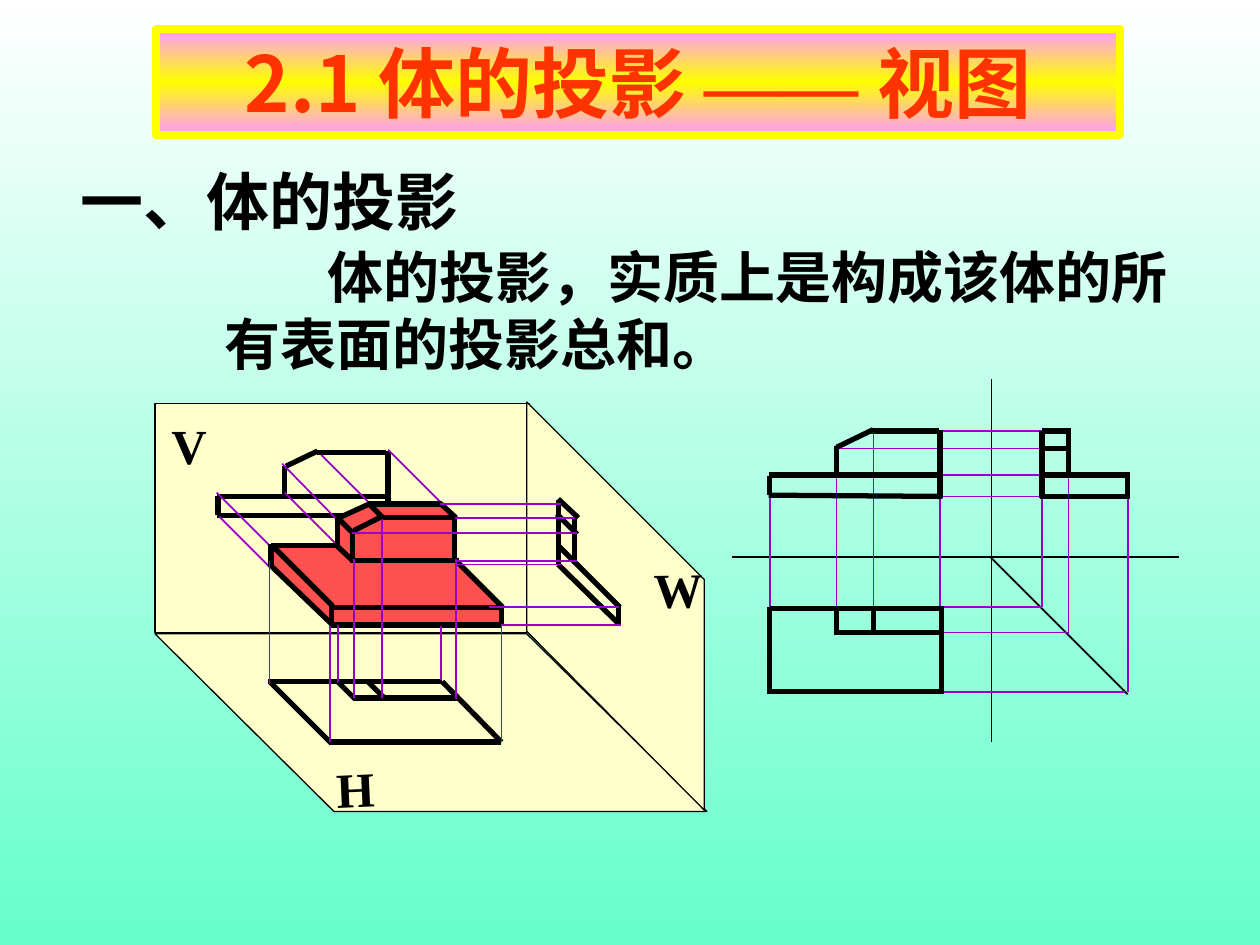
from copy import deepcopy
from dataclasses import dataclass
from typing import NamedTuple

from lxml import etree
from pptx import Presentation
from pptx import util as u
from pptx.dml.color import RGBColor
from pptx.enum import shapes, text
from pptx.oxml.ns import qn

COLS, ROWS = 1000, 750
WIDE, HIGH = u.Inches(10), u.Inches(7.5)
CELL = WIDE // COLS
HUES = {"ink": "000000", "ray": "9900CC", "plane": "FFFFCC", "solid": "FF5050",
        "title": "FF3300", "gold": "FFFF00", "pink": "FF99FF",
        "white": "FFFFFF", "mint": "66FFCC"}
HAN, LATIN = "Noto Sans CJK SC", "Times New Roman"


class Seg(NamedTuple):
    x: int
    y: int
    x2: int
    y2: int


class Run(NamedTuple):
    words: str
    size: int
    face: str = LATIN
    han: str = HAN
    hue: str = "ink"


@dataclass
class Part:
    hue: str
    width: float
    segs: list[Seg]


@dataclass
class Face:
    fill: str
    line: str
    width: float
    dots: list[tuple[int, int]]


@dataclass
class Label:
    box: tuple[int, int, int, int]
    run: Run
    turn: float = 0
    wrap: bool = False
    align: text.PP_ALIGN = text.PP_ALIGN.CENTER
    anchor: text.MSO_ANCHOR = text.MSO_ANCHOR.MIDDLE
    indent: int = 0


def row(y: int, x: int, x2: int) -> Seg:
    return Seg(x, y, x2, y)


def col(x: int, y: int, y2: int) -> Seg:
    return Seg(x, y, x, y2)


def tint(name: str) -> RGBColor:
    return RGBColor.from_string(HUES[name])


def blend(fill, owner, names: list[str]) -> None:
    fill.gradient()
    fill.gradient_angle = 270
    stops = next(owner.iter(qn("a:gsLst")))
    while len(stops) < len(names):
        stops.append(deepcopy(stops[0]))
    for i, (stop, name) in enumerate(zip(fill.gradient_stops, names)):
        stop.position = i / (len(names) - 1)
        stop.color.rgb = tint(name)


def write(para, run: Run) -> None:
    part = para.add_run()
    part.text = run.words
    font = part.font
    font.size, font.bold, font.name = u.Pt(run.size), True, run.face
    font.color.rgb = tint(run.hue)
    etree.SubElement(part._r.rPr, qn("a:ea")).set("typeface", run.han)


def draw(slide, part: Part) -> None:
    for seg in part.segs:
        line = slide.shapes.add_connector(
            shapes.MSO_CONNECTOR.STRAIGHT, *(n * CELL for n in seg))
        line.line.color.rgb = tint(part.hue)
        line.line.width = u.Pt(part.width)
        etree.SubElement(line._element.spPr, qn("a:effectLst"))


def shade(slide, face: Face) -> None:
    pen = slide.shapes.build_freeform(*face.dots[0], scale=CELL)
    pen.add_line_segments(face.dots[1:], close=True)
    form = pen.convert_to_shape()
    form.shadow.inherit = False
    form.fill.solid()
    form.fill.fore_color.rgb = tint(face.fill)
    form.line.color.rgb = tint(face.line)
    form.line.width = u.Pt(face.width)


def place(slide, label: Label) -> None:
    box = slide.shapes.add_textbox(*(n * CELL for n in label.box))
    box.rotation = label.turn
    frame = box.text_frame
    frame.word_wrap = label.wrap
    frame.auto_size = text.MSO_AUTO_SIZE.SHAPE_TO_FIT_TEXT
    frame.vertical_anchor = label.anchor
    para = frame.paragraphs[0]
    para.alignment = label.align
    if label.indent:
        props = para._p.get_or_add_pPr()
        props.set("marL", "0")
        props.set("indent", str(label.indent * CELL))
    write(para, label.run)


def head(slide) -> None:
    title = slide.shapes.title
    title.left, title.top, title.width, title.height = (
        n * CELL for n in (124, 23, 765, 84))
    blend(title.fill, title._element, ["pink", "gold", "pink"])
    title.line.color.rgb = tint("gold")
    title.line.width = u.Pt(4.5)
    frame = title.text_frame
    frame.auto_size = text.MSO_AUTO_SIZE.NONE
    frame.vertical_anchor = text.MSO_ANCHOR.TOP
    frame.word_wrap = True
    para = frame.paragraphs[0]
    para.alignment = text.PP_ALIGN.CENTER
    for words, face in (("2.1 体的投影 ", HAN), ("—— ", LATIN), ("视图", HAN)):
        write(para, Run(words, 44, face, face, "title"))


PLANES = [
    Face("plane", "ink", 0.75, [(123, 503), (418, 503), (561, 644), (265, 644)]),
    Face("plane", "ink", 0.75, [(123, 320), (420, 320), (420, 502), (123, 502)]),
    Face("plane", "ink", 0.75, [(418, 501), (559, 643), (559, 460), (418, 319)]),
]
SOLID = Face("solid", "solid", 1, [
    (215, 433), (266, 433), (269, 413), (291, 401), (348, 401), (361, 411),
    (361, 445), (399, 484), (398, 496), (264, 496), (215, 450)])

FRONT = [
    Part("ink", 3, [
        row(409, 172, 309), col(173, 394, 409), col(308, 358, 411),
        row(359, 252, 306), col(226, 370, 394), Seg(227, 370, 252, 358),
        row(394, 172, 308)]),
    Part("ray", 1, [
        Seg(213, 449, 174, 410), Seg(214, 433, 172, 391), Seg(294, 400, 255, 361),
        Seg(353, 402, 308, 357), Seg(268, 433, 226, 391), Seg(268, 413, 224, 368)]),
]
BODY = [
    Part("ink", 3, [
        Seg(304, 411, 293, 400), col(263, 481, 496), col(215, 432, 450),
        row(445, 281, 364), col(361, 411, 446), Seg(303, 410, 281, 421),
        Seg(293, 400, 269, 411), row(400, 292, 351), row(411, 304, 363),
        col(280, 420, 447), col(268, 411, 433), Seg(214, 448, 264, 496),
        row(482, 262, 398), col(398, 482, 497), row(496, 261, 398),
        Seg(216, 433, 264, 481), Seg(399, 482, 361, 444), Seg(280, 445, 266, 432),
        row(433, 215, 267), Seg(362, 411, 350, 400), Seg(280, 423, 270, 413)]),
]
FLOOR = [
    Part("ink", 3, [
        row(589, 262, 398), row(541, 213, 351), Seg(214, 541, 263, 590),
        Seg(351, 541, 398, 589), Seg(268, 541, 282, 555), row(554, 281, 364),
        Seg(292, 541, 305, 554)]),
    Part("ray", 1, [
        col(214, 445, 543), col(262, 497, 589), col(398, 496, 589),
        col(350, 497, 540), col(268, 496, 541), col(281, 444, 554),
        col(303, 413, 554), col(362, 444, 555)]),
]
SIDE = [
    Part("ink", 3, [
        Seg(443, 448, 491, 495), Seg(443, 433, 492, 482), col(443, 397, 448),
        col(456, 410, 448), col(491, 481, 496), Seg(443, 396, 459, 411),
        Seg(458, 424, 442, 408)]),
    Part("ray", 1, [
        row(496, 398, 493), row(448, 363, 445), row(482, 388, 491),
        row(423, 279, 458), row(400, 349, 445), row(411, 361, 456),
        row(445, 362, 458)]),
]
VIEWS = [
    Part("ink", 1, [row(442, 581, 936), col(787, 301, 589), Seg(786, 442, 895, 551)]),
    Part("ray", 1, [
        col(611, 393, 483), col(746, 390, 483), col(664, 374, 481),
        row(342, 747, 845), row(356, 665, 845), row(377, 748, 826),
        row(394, 748, 825), row(482, 745, 827), col(827, 394, 482),
        row(549, 747, 893), col(895, 392, 549), row(502, 743, 848),
        col(848, 340, 504)]),
    Part("ray", 0.75, [col(693, 341, 483)]),
    Part("ink", 3, [
        row(502, 664, 747), row(549, 611, 748), row(483, 611, 749),
        col(611, 482, 551), Seg(747, 482, 747, 551), col(664, 483, 504),
        col(693, 482, 503)]),
    Part("ink", 3, [
        col(746, 341, 378), row(342, 691, 745), col(664, 354, 378),
        Seg(664, 355, 693, 341), Seg(748, 394, 610, 393), col(611, 378, 393),
        row(377, 610, 747), col(746, 376, 395)]),
    Part("ink", 3, [
        col(827, 342, 380), row(342, 827, 850), row(356, 827, 850),
        col(848, 342, 377), col(895, 377, 395), row(377, 827, 897),
        row(394, 825, 897), col(827, 377, 395)]),
]
LABELS = [
    Label((126, 325, 48, 57), Run("V", 28)),
    Label((509, 439, 48, 57), Run("W", 28), turn=359.4),
    Label((257, 597, 50, 57), Run("H", 28), turn=357.4),
    Label((54, 124, 320, 70), Run("一、体的投影", 36, HAN),
          align=text.PP_ALIGN.LEFT, anchor=text.MSO_ANCHOR.TOP),
    Label((168, 187, 787, 117),
          Run("体的投影，实质上是构成该体的所有表面的投影总和。", 32),
          wrap=True, align=text.PP_ALIGN.LEFT, indent=82),
]


def main() -> None:
    deck = Presentation()
    deck.slide_width, deck.slide_height = WIDE, HIGH
    slide = deck.slides.add_slide(deck.slide_layouts[5])
    blend(slide.background.fill, slide._element, ["white", "mint"])
    head(slide)
    for face in PLANES:
        shade(slide, face)
    for part in FRONT:
        draw(slide, part)
    shade(slide, SOLID)
    for part in BODY + FLOOR + SIDE + VIEWS:
        draw(slide, part)
    for label in LABELS:
        place(slide, label)
    deck.save("out.pptx")


if __name__ == "__main__":
    main()
